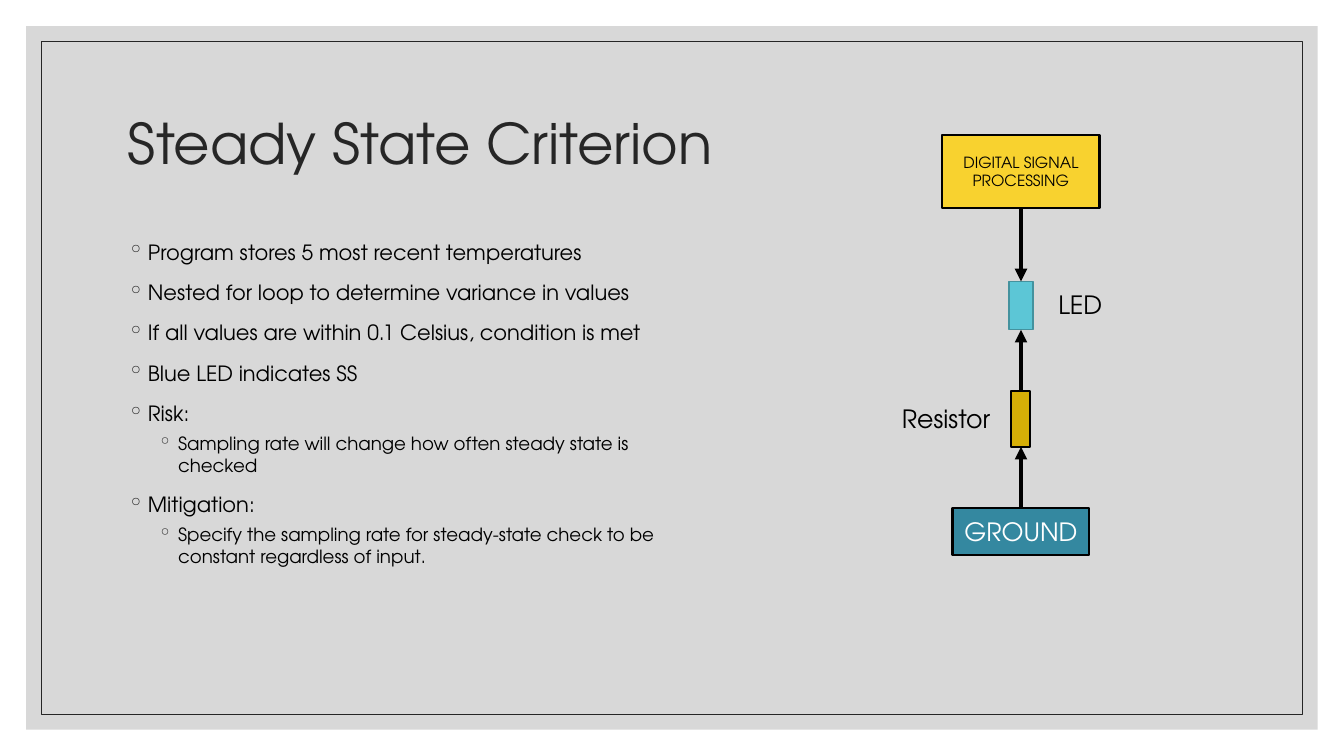
import pptx
import pptx.util
import pptx.dml.color
import pptx.enum.shapes
import pptx.enum.text
import pptx.oxml
import pptx.oxml.ns
from lxml import etree

Cm = pptx.util.Cm
Pt = pptx.util.Pt
ALIGN = pptx.enum.text.PP_ALIGN
ANCHOR = pptx.enum.text.MSO_ANCHOR
WIDE, HIGH = 33.87, 19.05
AXIS = 25.73


def color(code):
    return pptx.dml.color.RGBColor.from_string(code)


def child(node, tag, **attrs):
    return etree.SubElement(node, pptx.oxml.ns.qn(tag), attrs)


class Deck:
    font = "TeX Gyre Adventor"
    ink = "262626"
    black = "000000"

    def __init__(self):
        self.show = pptx.Presentation()
        self.show.slide_width, self.show.slide_height = Cm(WIDE), Cm(HIGH)
        self.slide = self.show.slides.add_slide(self.show.slide_layouts[6])

    def style(self, para, size, code):
        for run in para.runs:
            run.font.name = self.font
            run.font.size = Pt(size)
            run.font.color.rgb = color(code)

    def rect(self, left, top, width, height, fill=None, line=None, weight=1.5):
        kind = pptx.enum.shapes.MSO_SHAPE.RECTANGLE
        shape = self.slide.shapes.add_shape(kind, Cm(left), Cm(top), Cm(width), Cm(height))
        shape.shadow.inherit = False
        if fill:
            shape.fill.solid()
            shape.fill.fore_color.rgb = color(fill)
        else:
            shape.fill.background()
        if line:
            shape.line.color.rgb = color(line)
            shape.line.width = Pt(weight)
        else:
            shape.line.fill.background()
        return shape

    def frame(self, gap, **look):
        return self.rect(gap, gap, WIDE - 2 * gap, HIGH - 2 * gap, **look)

    def fade(self, shape, share):
        tone = shape._element.spPr.find(".//" + pptx.oxml.ns.qn("a:srgbClr"))
        child(tone, "a:alpha", val=str(share * 1000))

    def block(self, top, width, height, fill, line=black, weight=1.5):
        return self.rect(AXIS - width / 2, top, width, height, fill, line, weight)

    def caption(self, shape, text, size, code):
        box = shape.text_frame
        box.text = text
        box.word_wrap = True
        box.vertical_anchor = ANCHOR.MIDDLE
        para = box.paragraphs[0]
        para.alignment = ALIGN.CENTER
        self.style(para, size, code)

    def text(self, left, top, width, height, text, size, code=black, anchor=ANCHOR.TOP):
        shape = self.slide.shapes.add_textbox(Cm(left), Cm(top), Cm(width), Cm(height))
        box = shape.text_frame
        box.word_wrap = True
        box.vertical_anchor = anchor
        box.text = text
        for para in box.paragraphs:
            self.style(para, size, code)
        return box

    def bullets(self, left, top, width, height, items):
        lines = "\n".join(text for level, text in items)
        box = self.text(left, top, width, height, lines, 15)
        looks = [(0.51, 1.1, 9, 15), (1.27, 1.0, 5, 13)]
        for spot, (para, (level, text)) in enumerate(zip(box.paragraphs, items)):
            indent, lead, space, size = looks[level]
            para.level = level
            para.line_spacing = lead
            para.space_before = Pt(space if spot else 0)
            props = para._p.get_or_add_pPr()
            props.set("marL", str(Cm(indent)))
            props.set("indent", str(-Cm(0.51)))
            child(child(props, "a:buClr"), "a:srgbClr", val=self.ink)
            child(props, "a:buChar", char="◦")
            self.style(para, size, self.black)

    def arrow(self, start, first, end, last):
        kind = pptx.enum.shapes.MSO_CONNECTOR.STRAIGHT
        link = self.slide.shapes.add_connector(kind, 0, 0, 0, 0)
        link.begin_connect(start, first)
        link.end_connect(end, last)
        link.line.color.rgb = color(self.black)
        link.line.width = Pt(3)
        props = link._element.spPr
        child(props.find(pptx.oxml.ns.qn("a:ln")), "a:tailEnd", type="triangle")
        child(props, "a:effectLst")


def main():
    deck = Deck()
    deck.fade(deck.frame(0.66, fill="BFBFBF"), 60)
    deck.frame(1.04, line=deck.ink, weight=0.5)

    title = deck.text(2.97, 1.78, 27.94, 3.81, "Steady State Criterion", 40, deck.ink, ANCHOR.MIDDLE)
    title.paragraphs[0].line_spacing = 0.9
    deck.bullets(2.97, 5.84, 13.97, 10.69, [
        (0, "Program stores 5 most recent temperatures"),
        (0, "Nested for loop to determine variance in values"),
        (0, "If all values are within 0.1 Celsius, condition is met"),
        (0, "Blue LED indicates SS"),
        (0, "Risk:"),
        (1, "Sampling rate will change how often steady state is checked"),
        (0, "Mitigation:"),
        (1, "Specify the sampling rate for steady-state check to be constant regardless of input."),
    ])

    led = deck.block(7.09, 0.61, 1.22, "5CC6D6", "44929E", 1)
    deck.text(26.42, 7.16, 1.83, 1.02, "LED", 18)
    deck.text(22.48, 10.03, 3.53, 1.02, "Resistor", 18)
    ohm = deck.block(9.86, 0.48, 1.4, "D6AF07")
    chip = deck.block(3.4, 3.96, 1.85, "F8D22F")
    deck.caption(chip, "DIGITAL SIGNAL PROCESSING", 11, deck.black)
    ground = deck.block(12.8, 3.45, 1.19, "3488A0")
    deck.caption(ground, "GROUND", 18, "FFFFFF")

    top, bottom = 0, 2
    deck.arrow(ground, top, ohm, bottom)
    deck.arrow(ohm, top, led, bottom)
    deck.arrow(chip, bottom, led, top)

    deck.show.save("out.pptx")


if __name__ == "__main__":
    main()
